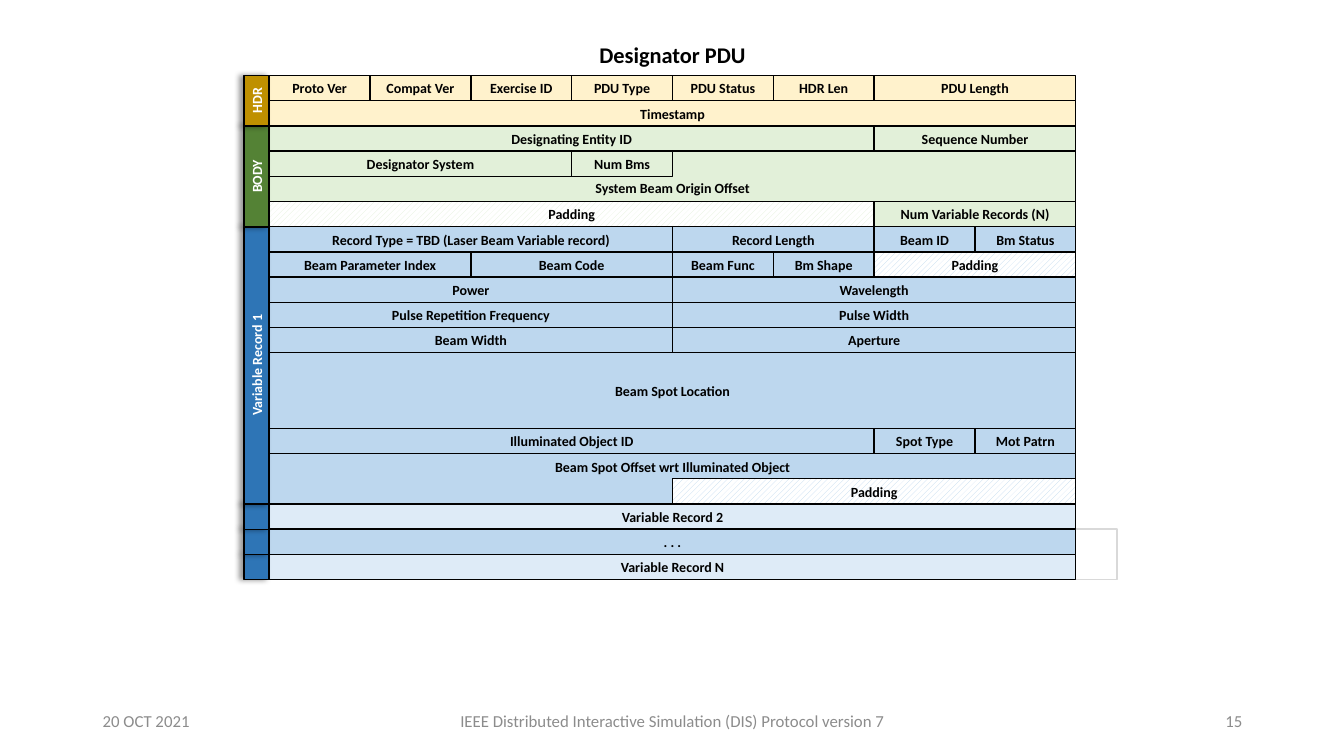
"""Build the Designator PDU layout slide."""
from lxml import etree
from pptx import Presentation
from pptx.dml.color import RGBColor
from pptx.enum.dml import MSO_PATTERN
from pptx.enum.shapes import MSO_SHAPE
from pptx.enum.text import MSO_ANCHOR, MSO_AUTO_SIZE, PP_ALIGN
from pptx.oxml import parse_xml
from pptx.util import Inches, Pt

C = {"black": "000000", "white": "FFFFFF", "grey": "8C8C8C", "frame": "D9D9D9",
     "header": "FFF2CC", "body": "E2F0D9", "record": "BDD7EE", "more": "DEEBF7",
     "header_tab": "BF9000", "body_tab": "548235", "record_tab": "2E75B6"}
RGB = {name: RGBColor.from_string(value) for name, value in C.items()}
LEFT, TOP, ROW, TAB = 2.67, 0.75, 0.25, 0.25
SHADOW = ('<a:effectLst xmlns:a="http://schemas.openxmlformats.org/drawingml/2006/main">'
          '<a:outerShdw blurRad="50800" dist="38100" dir="10800000" algn="r" rotWithShape="0">'
          '<a:srgbClr val="000000"><a:alpha val="40000"/></a:srgbClr>'
          '</a:outerShdw></a:effectLst>')


def write(sp, text, size=10, color="black", bold=True, align=PP_ALIGN.CENTER):
    tf = sp.text_frame
    tf.word_wrap = True
    tf.auto_size = MSO_AUTO_SIZE.NONE
    tf.vertical_anchor = MSO_ANCHOR.MIDDLE
    p = tf.paragraphs[0]
    p.alignment = align
    r = p.add_run()
    r.text = text
    for key, value in {"name": "Calibri", "size": Pt(size), "bold": bold}.items():
        setattr(r.font, key, value)
    r.font.color.rgb = RGB[color]


def box(x, y, w, h, fill=None, line="black", hatched=False):
    sp = s.shapes.add_shape(MSO_SHAPE.RECTANGLE, *map(Inches, (x, y, w, h)))
    sp.shadow.inherit = False
    sp.line.color.rgb = RGB[line]
    sp.line.width = Pt(1)
    if hatched:
        sp.fill.patterned()
        sp.fill.pattern = MSO_PATTERN.WIDE_UPWARD_DIAGONAL
        sp.fill.fore_color.rgb = RGB[fill]
        sp.fill.back_color.rgb = RGB["white"]
    elif fill:
        sp.fill.solid()
        sp.fill.fore_color.rgb = RGB[fill]
    else:
        sp.fill.background()
    return sp


prs = Presentation()
prs.slide_width, prs.slide_height = Inches(13.33), Inches(7.5)
s = prs.slides.add_slide(prs.slide_layouts[5])

title = s.shapes.title
title.left, title.top, title.width, title.height = map(Inches, (4.67, 0.42, 4, 0.25))
write(title, "Designator PDU", size=16)

offset = box(LEFT, TOP + 3 * ROW, 8, 2 * ROW, "body")
offset.text_frame.margin_top = Inches(0.28)
write(offset, "System Beam Origin Offset")
offset = box(LEFT, TOP + 15 * ROW, 8, 2 * ROW, "record")
offset.text_frame.margin_bottom = Inches(0.28)
write(offset, "Beam Spot Offset wrt Illuminated Object")

box(10.66, TOP + 18 * ROW, 0.42, 2 * ROW, line="frame")

rows = [
    (0, "header", 0, [("Proto Ver", 1), ("Compat Ver", 1), ("Exercise ID", 1), ("PDU Type", 1),
                      ("PDU Status", 1), ("HDR Len", 1), ("PDU Length", 2)]),
    (1, "header", 0, [("Timestamp", 8)]),
    (2, "body", 0, [("Designating Entity ID", 6), ("Sequence Number", 2)]),
    (3, "body", 0, [("Designator System", 3), ("Num Bms", 1)]),
    (5, "body", 0, [("Padding", 6), ("Num Variable Records (N)", 2)]),
    (6, "record", 0, [("Record Type = TBD (Laser Beam Variable record)", 4),
                      ("Record Length", 2), ("Beam ID", 1), ("Bm Status", 1)]),
    (7, "record", 0, [("Beam Parameter Index", 2), ("Beam Code", 2), ("Beam Func", 1),
                      ("Bm Shape", 1), ("Padding", 2)]),
    (8, "record", 0, [("Power", 4), ("Wavelength", 4)]),
    (9, "record", 0, [("Pulse Repetition Frequency", 4), ("Pulse Width", 4)]),
    (10, "record", 0, [("Beam Width", 4), ("Aperture", 4)]),
    (11, "record", 0, [("Beam Spot Location", 8)]),
    (14, "record", 0, [("Illuminated Object ID", 6), ("Spot Type", 1), ("Mot Patrn", 1)]),
    (16, "record", 4, [("Padding", 4)]),
    (17, "more", 0, [("Variable Record 2", 8)]),
    (18, "record", 0, [(". . .", 8)]),
    (19, "more", 0, [("Variable Record N", 8)]),
]
for row, fill, start, fields in rows:
    x = LEFT + start
    for label, width in fields:
        height = 3 * ROW if label == "Beam Spot Location" else ROW
        write(box(x, TOP + row * ROW, width, height, fill, hatched=label == "Padding"), label)
        x += width

tabs = [(19, 1, "record_tab", ""), (18, 1, "record_tab", ""), (17, 1, "record_tab", ""),
        (6, 11, "record_tab", "Variable Record 1"), (2, 4, "body_tab", "BODY"),
        (0, 2, "header_tab", "HDR")]
for row, count, fill, label in tabs:
    length = count * ROW
    mid_x, mid_y = LEFT - TAB / 2, TOP + row * ROW + length / 2
    tab = box(mid_x - length / 2, mid_y - TAB / 2, length, TAB, fill)
    tab.rotation = 270
    flat = tab.element.spPr.find("{*}effectLst")
    flat.getparent().replace(flat, parse_xml(SHADOW))
    if label:
        write(tab, label, color="white")

footers = [(0.92, 3, "20 OCT 2021", PP_ALIGN.LEFT),
           (4.42, 4.5, "IEEE Distributed Interactive Simulation (DIS) Protocol version 7",
            PP_ALIGN.CENTER),
           (9.42, 3, "15", PP_ALIGN.RIGHT)]
for x, width, text, align in footers:
    sp = s.shapes.add_textbox(*map(Inches, (x, 6.95, width, 0.4)))
    write(sp, text, size=12, color="grey", bold=False, align=align)

prs.save("out.pptx")
